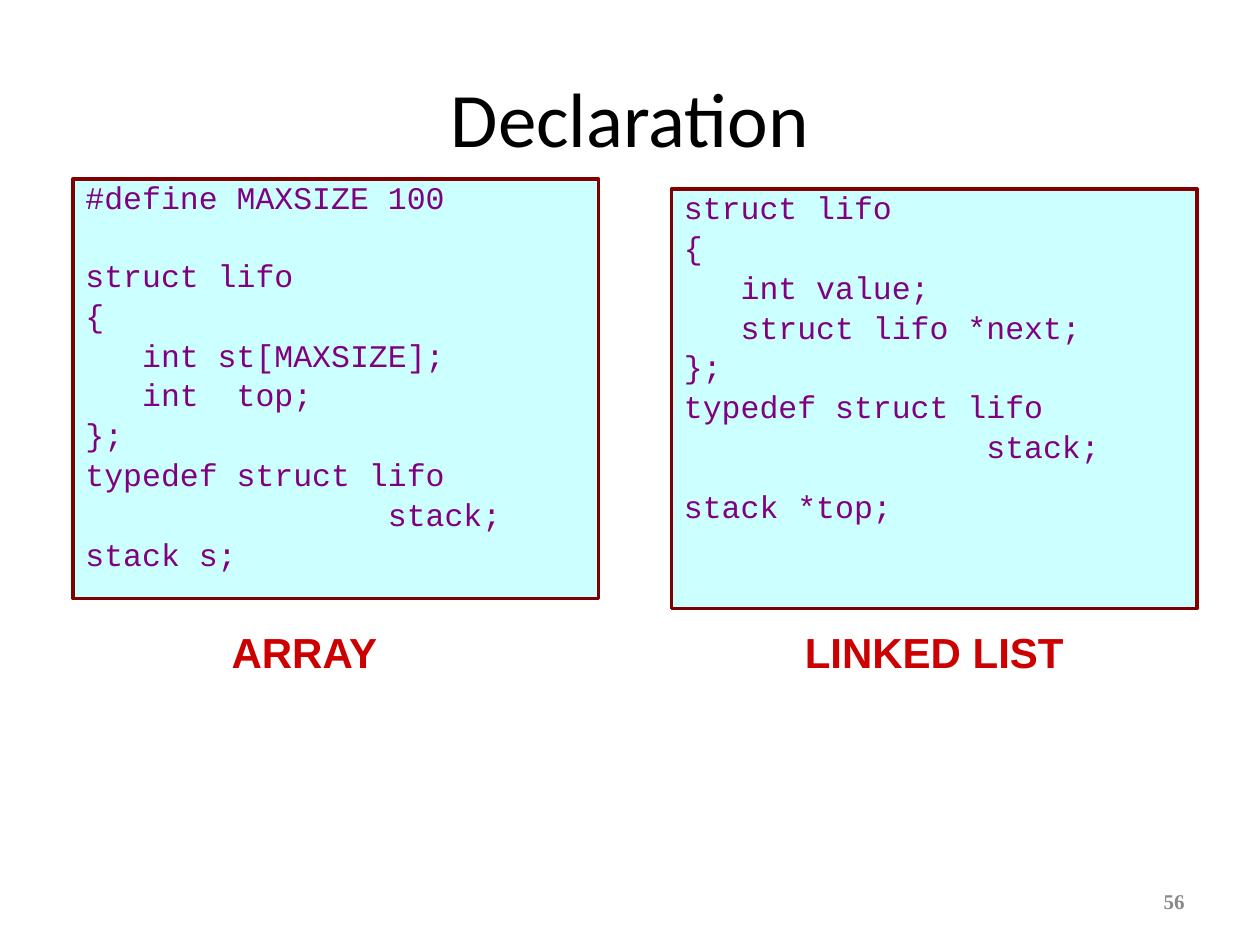
from dataclasses import dataclass

from pptx import Presentation
from pptx.dml.color import RGBColor
from pptx.enum.shapes import MSO_SHAPE
from pptx.enum.text import MSO_ANCHOR as Anchor, PP_ALIGN as Align
from pptx.util import Inches, Pt


@dataclass(frozen=True)
class Style:
    font: str
    size: int
    color: str
    bold: bool = False


@dataclass(frozen=True)
class Theme:
    title: Style = Style("Calibri", 44, "000000")
    code: Style = Style("Courier New", 18, "800080")
    caption: Style = Style("Arial", 24, "CC0000", True)
    number: Style = Style("Times New Roman", 12, "898989", True)
    panel_fill: str = "CCFFFF"
    panel_line: str = "800000"
    line_gap: float = 5.5


THEME = Theme()

ARRAY_CODE = [
    ["#define MAXSIZE 100"],
    [
        "struct lifo",
        "{",
        "   int st[MAXSIZE];",
        "   int  top;",
        "};",
        "typedef struct lifo",
        "                stack;",
        "stack s;",
    ],
]
LIST_CODE = [
    [
        "struct lifo",
        "{",
        "   int value;",
        "   struct lifo *next;",
        "};",
        "typedef struct lifo",
        "                stack;",
    ],
    ["stack *top;"],
]


def add_run(paragraph, text, style):
    run = paragraph.add_run()
    run.text = text
    run.font.name = style.font
    run.font.size = Pt(style.size)
    run.font.bold = style.bold
    run.font.color.rgb = RGBColor.from_string(style.color)


def add_label(slide, box, text, style, align=Align.CENTER, anchor=Anchor.TOP):
    frame = slide.shapes.add_textbox(*map(Inches, box)).text_frame
    frame.word_wrap = True
    frame.vertical_anchor = anchor
    line = frame.paragraphs[0]
    line.alignment = align
    add_run(line, text, style)


def add_code_panel(slide, box, blocks, block_gap):
    panel = slide.shapes.add_shape(MSO_SHAPE.RECTANGLE, *map(Inches, box))
    panel.shadow.inherit = False
    panel.fill.solid()
    panel.fill.fore_color.rgb = RGBColor.from_string(THEME.panel_fill)
    panel.line.color.rgb = RGBColor.from_string(THEME.panel_line)
    panel.line.width = Pt(2)
    frame = panel.text_frame
    frame.word_wrap = True
    frame.vertical_anchor = Anchor.TOP
    for block_index, block in enumerate(blocks):
        for line_index, code in enumerate(block):
            first = block_index == line_index == 0
            line = frame.paragraphs[0] if first else frame.add_paragraph()
            line.alignment = Align.LEFT
            line.line_spacing = 0.8
            if not first:
                gap = THEME.line_gap if line_index else block_gap
                line.space_before = Pt(gap)
            add_run(line, code, THEME.code)


def main():
    deck = Presentation()
    deck.slide_width, deck.slide_height = Inches(10), Inches(7.5)
    slide = deck.slides.add_slide(deck.slide_layouts[6])
    add_label(slide, (0.5, 0.3, 9, 1.25), "Declaration", THEME.title,
              anchor=Anchor.MIDDLE)
    add_code_panel(slide, (0.58, 1.42, 4.17, 3.33), ARRAY_CODE, 27.3)
    add_code_panel(slide, (5.33, 1.5, 4.17, 3.33), LIST_CODE, 16.8)
    add_label(slide, (7.17, 6.95, 2.33, 0.4), "56", THEME.number,
              Align.RIGHT, Anchor.MIDDLE)
    add_label(slide, (1.5, 4.92, 1.83, 0.5), "ARRAY", THEME.caption)
    add_label(slide, (5.83, 4.92, 3.17, 0.5), "LINKED LIST", THEME.caption)
    deck.save("out.pptx")


if __name__ == "__main__":
    main()
